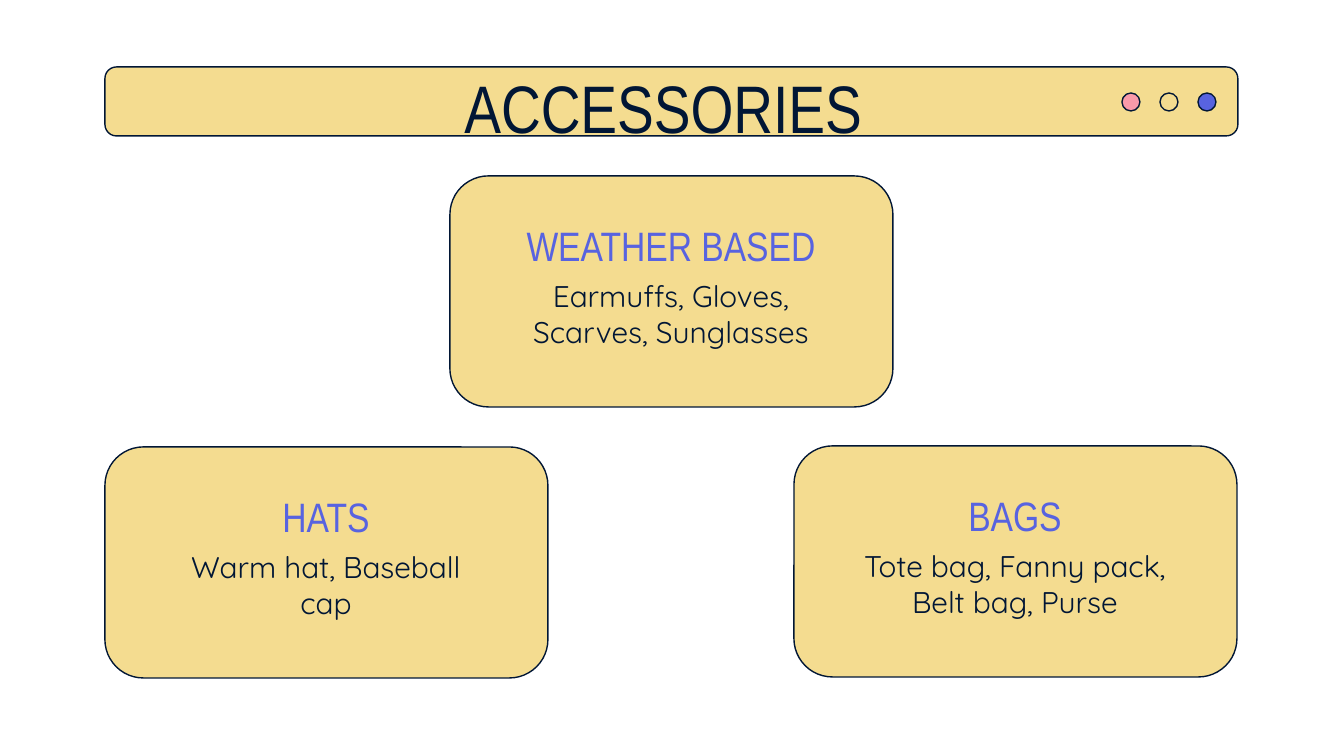
"""Build the ACCESSORIES slide: a window title bar above three category cards."""
from dataclasses import dataclass

from pptx import Presentation
from pptx.dml.color import RGBColor
from pptx.enum.shapes import MSO_SHAPE as Preset
from pptx.enum.text import MSO_ANCHOR as Anchor, PP_ALIGN as Align
from pptx.shapes.autoshape import Shape
from pptx.slide import Slide
from pptx.util import Emu, Pt

SLIDE_WIDTH, SLIDE_HEIGHT = 1344, 756
EMU_PER_PX = 9144000 / SLIDE_WIDTH
COLORS = {"sand": "F4DC90", "navy": "011635", "blue": "5863E0", "pink": "F99AAA"}
FORMATS = {
    "title": {"name": "Arial Narrow", "size": Pt(36), "bold": False},
    "heading": {"name": "Arial Narrow", "size": Pt(22), "bold": False},
    "body": {"name": "Quicksand", "size": Pt(16), "bold": False},
}
TEXT_COLORS = {"title": "navy", "heading": "blue", "body": "navy"}
FRAME = {
    "word_wrap": True,
    "vertical_anchor": Anchor.TOP,
    "margin_left": 0,
    "margin_top": 0,
    "margin_right": 0,
    "margin_bottom": 0,
}
DOT_LEFT, DOT_TOP, DOT_SIZE, DOT_PITCH = 1122, 93, 18, 38
CARD_WIDTH, CARD_HEIGHT = 443, 231
TEXT_WIDTH, HEADING_TOP, BODY_TOP, BODY_HEIGHT = 320, 44, 102, 85


@dataclass(frozen=True)
class Box:
    left: int
    top: int
    width: int
    height: int

    def emu(self) -> list[Emu]:
        lengths = (self.left, self.top, self.width, self.height)
        return [Emu(round(length * EMU_PER_PX)) for length in lengths]


@dataclass(frozen=True)
class Card:
    left: int
    top: int
    heading: str
    body: str
    heading_height: int = 43


CARDS = (
    Card(794, 446, "BAGS", "Tote bag, Fanny pack, Belt bag, Purse"),
    Card(105, 447, "HATS", "Warm hat, Baseball cap"),
    Card(450, 176, "WEATHER BASED", "Earmuffs, Gloves, Scarves, Sunglasses", 69),
)


def color(name: str) -> RGBColor:
    return RGBColor.from_string(COLORS[name])


def add_outlined(slide: Slide, preset: Preset, box: Box, fill: str) -> Shape:
    shape = slide.shapes.add_shape(preset, *box.emu())
    shape.shadow.inherit = False
    shape.fill.solid()
    shape.fill.fore_color.rgb = color(fill)
    shape.line.color.rgb = color("navy")
    shape.line.width = Pt(0.75)
    return shape


def add_text(slide: Slide, box: Box, text: str, style: str) -> None:
    frame = slide.shapes.add_textbox(*box.emu()).text_frame
    for attribute, value in FRAME.items():
        setattr(frame, attribute, value)
    paragraph = frame.paragraphs[0]
    paragraph.alignment = Align.CENTER
    run = paragraph.add_run()
    run.text = text
    for attribute, value in FORMATS[style].items():
        setattr(run.font, attribute, value)
    run.font.color.rgb = color(TEXT_COLORS[style])


def add_card(slide: Slide, card: Card) -> None:
    outline = Box(card.left, card.top, CARD_WIDTH, CARD_HEIGHT)
    add_outlined(slide, Preset.ROUNDED_RECTANGLE, outline, "sand")
    left = card.left + (CARD_WIDTH - TEXT_WIDTH) // 2
    heading = Box(left, card.top + HEADING_TOP, TEXT_WIDTH, card.heading_height)
    body = Box(left, card.top + BODY_TOP, TEXT_WIDTH, BODY_HEIGHT)
    add_text(slide, heading, card.heading, "heading")
    add_text(slide, body, card.body, "body")


def add_title_bar(slide: Slide) -> None:
    add_outlined(slide, Preset.ROUNDED_RECTANGLE, Box(105, 67, 1133, 69), "sand")
    for index, fill in enumerate(("pink", "sand", "blue")):
        dot = Box(DOT_LEFT + index * DOT_PITCH, DOT_TOP, DOT_SIZE, DOT_SIZE)
        add_outlined(slide, Preset.OVAL, dot, fill)
    add_text(slide, Box(200, 66, 942, 85), "ACCESSORIES ", "title")


def main() -> None:
    presentation = Presentation()
    _, _, presentation.slide_width, presentation.slide_height = Box(
        0, 0, SLIDE_WIDTH, SLIDE_HEIGHT
    ).emu()
    slide = presentation.slides.add_slide(presentation.slide_layouts[6])
    for card in CARDS:
        add_card(slide, card)
    add_title_bar(slide)
    presentation.save("out.pptx")


if __name__ == "__main__":
    main()
